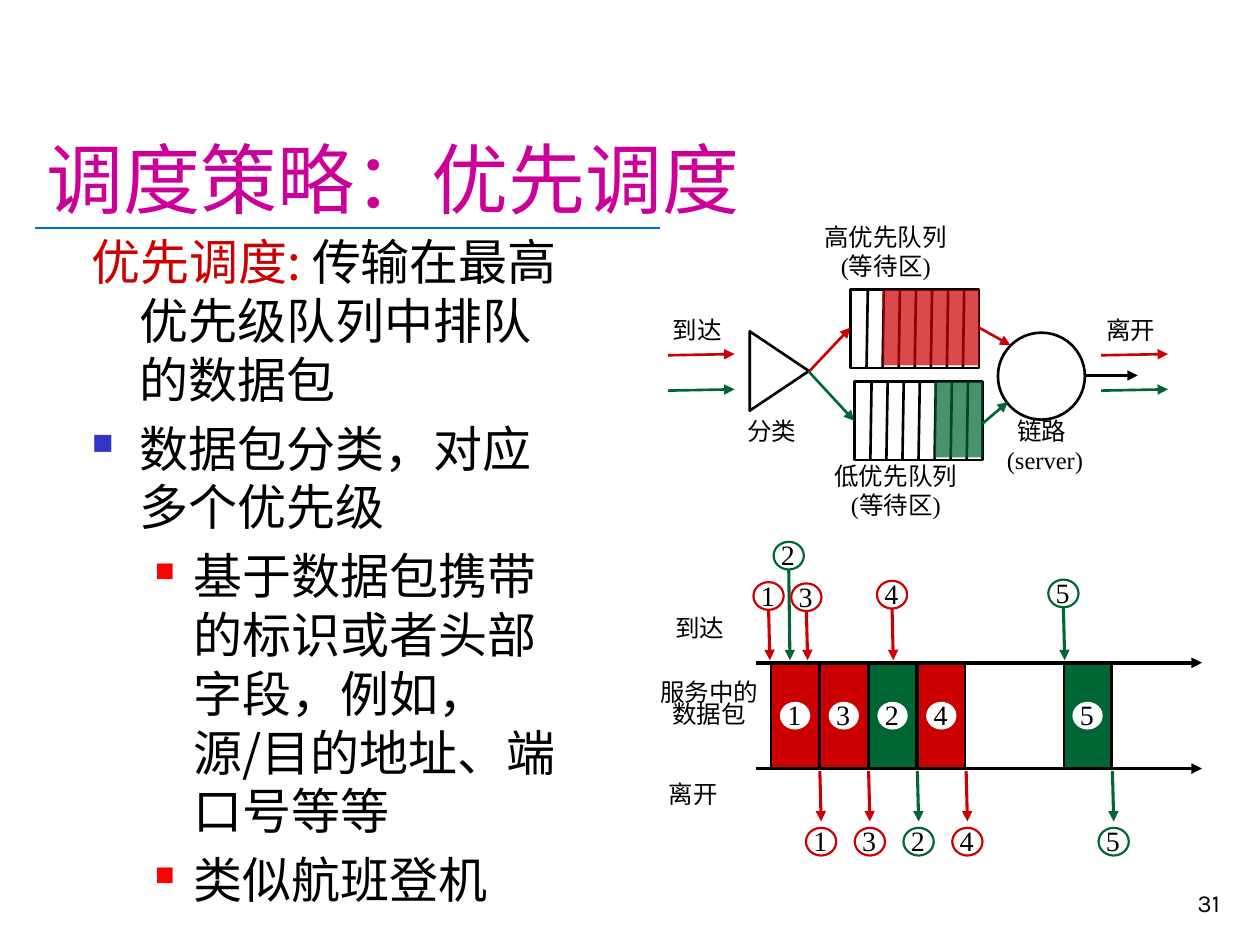
from pptx import Presentation
from pptx.util import Inches, Pt
from pptx.dml.color import RGBColor
from pptx.enum.shapes import MSO_SHAPE, MSO_CONNECTOR
from pptx.enum.text import PP_ALIGN, MSO_ANCHOR
from pptx.oxml.ns import qn
from lxml.etree import SubElement

BLACK = RGBColor(0, 0, 0)
WHITE = RGBColor(0xFF, 0xFF, 0xFF)
RED = RGBColor(0xCC, 0, 0)
GREEN = RGBColor(0, 0x66, 0x33)
PINK = RGBColor(0xCC, 0, 0x99)
RULE = RGBColor(0, 0x70, 0xC0)
SERIF, SANS, CJK = "Times New Roman", "Karla", "Noto Sans CJK SC"
LEFT, CENTER, RIGHT = PP_ALIGN.LEFT, PP_ALIGN.CENTER, PP_ALIGN.RIGHT

TITLE = "调度策略：优先调度"
BODY = [
    (0, None, [("优先调度: ", RED), ("传输在最高优先级队列中排队的数据包", BLACK)]),
    (0, "3333CC", [("数据包分类，对应多个优先级", BLACK)]),
    (1, "FF0000", [("基于数据包携带的标识或者头部字段，例如，源/目的地址、端口号等等", BLACK)]),
    (1, "FF0000", [("类似航班登机", BLACK)]),
]
LEVELS = [(0.38, -0.38, 60), (0.81, -0.31, 55)]

QUEUE_W, QUEUE_H, SLOTS = 1.02, 0.62, 8
QUEUES = [(6.78, 3.03, 5, GREEN), (6.75, 2.3, 2, RED)]
FLOWS = [
    (6.42, 2.95, 6.75, 2.6, RED), (6.42, 2.95, 6.78, 3.34, GREEN),
    (7.77, 2.6, 8.02, 2.74, RED), (7.8, 3.36, 8, 3.19, GREEN),
    (8.6, 2.98, 9.03, 2.98, BLACK),
]
LABELS = [
    (["高优先队列\n(等待区)"], 6.44, 1.71, 1.18, 0.57, CENTER),
    (["低优先队列\n(等待区)"], 6.52, 3.61, 1.18, 0.57, CENTER),
    (["到达"], 5.24, 2.45, 0.59, 0.34, CENTER),
    (["分类"], 5.83, 3.25, 0.59, 0.34, CENTER),
    (["离开"], 8.68, 2.45, 0.59, 0.34, CENTER),
    (["链路", " (server)"], 7.84, 3.25, 0.86, 0.57, CENTER),
    (["到达"], 5.26, 4.82, 0.59, 0.34, LEFT),
    (["离开"], 5.21, 6.13, 0.59, 0.34, LEFT),
]

PACKET_COLORS = {1: RED, 2: GREEN, 3: RED, 4: RED, 5: GREEN}
SERVICE = {1: 0, 3: 1, 2: 2, 4: 3, 5: 6}
ARRIVALS = {1: (5.98, 4.62), 2: (6.14, 4.3), 3: (6.28, 4.63), 4: (6.96, 4.61), 5: (8.32, 4.6)}
TIME_LEFT, TIME_STEP, BLOCK_W = 6.12, 0.387, 0.38
ARRIVE_Y, DEPART_Y = 5.26, 6.1
DOT_W, DOT_H = 0.24, 0.22

prs = Presentation()
prs.slide_width, prs.slide_height = Inches(10), Inches(7.5)
s = prs.slides.add_slide(prs.slide_layouts[6])


def style(r, size, color, font):
    r.font.size, r.font.name = Pt(size), font
    r.font.color.rgb = color
    SubElement(r._r.get_or_add_rPr(), qn("a:ea")).set("typeface", CJK)


def textbox(x, y, w, h, wrap=False, anchor=MSO_ANCHOR.TOP):
    tf = s.shapes.add_textbox(Inches(x), Inches(y), Inches(w), Inches(h)).text_frame
    tf.word_wrap, tf.vertical_anchor = wrap, anchor
    return tf


def text(lines, x, y, w, h, align=LEFT, size=14, color=BLACK, font=SERIF, **frame):
    tf = textbox(x, y, w, h, **frame)
    for i, line in enumerate(lines):
        p = tf.add_paragraph() if i else tf.paragraphs[0]
        p.text, p.alignment = line, align
        for r in p.runs:
            style(r, size, color, font)
    return tf


def line(x1, y1, x2, y2, color=BLACK, width=1.5, arrow=False):
    c = s.shapes.add_connector(MSO_CONNECTOR.STRAIGHT, *map(Inches, (x1, y1, x2, y2)))
    c.line.color.rgb, c.line.width = color, Pt(width)
    if arrow:
        SubElement(c.line._get_or_add_ln(), qn("a:tailEnd")).set("type", "triangle")
    SubElement(c._element.spPr, qn("a:effectLst"))


def shape(kind, x, y, w, h, fill=None, outline=None, width=1.5, alpha=None):
    sp = s.shapes.add_shape(kind, *map(Inches, (x, y, w, h)))
    sp.shadow.inherit = False
    if fill is None:
        sp.fill.background()
    else:
        sp.fill.solid()
        sp.fill.fore_color.rgb = fill
    if alpha:
        clr = sp._element.spPr.find(qn("a:solidFill"))[0]
        SubElement(clr, qn("a:alpha")).set("val", str(alpha * 1000))
    if outline is None:
        sp.line.fill.background()
    else:
        sp.line.color.rgb, sp.line.width = outline, Pt(width)
    return sp


def number(n, x, y, outline=None):
    shape(MSO_SHAPE.OVAL, x, y, DOT_W, DOT_H, WHITE, outline, 1.25)
    text([str(n)], x - 0.04, y - 0.08, 0.33, 0.37, size=16)


def queue(x, y, empty, color):
    step = QUEUE_W / SLOTS
    shape(MSO_SHAPE.RECTANGLE, x, y, QUEUE_W, QUEUE_H, outline=BLACK)
    for i in range(1, SLOTS):
        line(x + i * step + 0.01, y, x + i * step, y + QUEUE_H)
    shape(MSO_SHAPE.RECTANGLE, x + empty * step, y, (SLOTS - empty) * step, QUEUE_H - 0.02,
          color, alpha=71)


def body():
    tf = textbox(0.63, 1.79, 4.05, 5.58, wrap=True)
    for i, (level, bullet, runs) in enumerate(BODY):
        p = tf.add_paragraph() if i else tf.paragraphs[0]
        p.level, p.space_before = level, Pt(5.6)
        margin, indent, size = LEVELS[level]
        pPr = p._p.get_or_add_pPr()
        pPr.set("marL", str(Inches(margin)))
        pPr.set("indent", str(Inches(indent)))
        if bullet:
            SubElement(SubElement(pPr, qn("a:buClr")), qn("a:srgbClr")).set("val", bullet)
            SubElement(pPr, qn("a:buSzPct")).set("val", str(size * 1000))
            SubElement(pPr, qn("a:buChar")).set("char", "■")
        else:
            SubElement(pPr, qn("a:buNone"))
        for words, color in runs:
            r = p.add_run()
            r.text = words
            style(r, 28, color, CJK)


def scheduler():
    for q in QUEUES:
        queue(*q)
    shape(MSO_SHAPE.ISOSCELES_TRIANGLE, 5.87, 2.71, 0.63, 0.47, outline=BLACK).rotation = 90
    shape(MSO_SHAPE.OVAL, 7.92, 2.64, 0.69, 0.69, outline=BLACK)
    for flow in FLOWS:
        line(*flow, arrow=True)
    for x in (5.3, 8.74):
        for y, color in ((2.82, RED), (3.1, GREEN)):
            line(x, y, x + 0.53, y - 0.01, color, arrow=True)


def timeline():
    for y in (ARRIVE_Y, DEPART_Y):
        line(6, y, 9.54, y, width=2, arrow=True)
    for n, slot in SERVICE.items():
        color = PACKET_COLORS[n]
        x = TIME_LEFT + slot * TIME_STEP
        shape(MSO_SHAPE.RECTANGLE, x, ARRIVE_Y + 0.01, BLOCK_W, 0.83, color, BLACK, 1.25)
        number(n, x + 0.07, 5.57)
        end = x + TIME_STEP
        line(end, 6.12, end + 0.01, 6.52, color, 1.75, True)
        number(n, end - 0.11, 6.57, color)
    for n, (x, y) in ARRIVALS.items():
        color = PACKET_COLORS[n]
        line(x + 0.12, y + DOT_H, x + 0.13, ARRIVE_Y - 0.02, color, 1.75, True)
        number(n, x, y, color)


line(0.28, 1.81, 5.24, 1.81, RULE, 1.25)
text([TITLE], 0.27, 0.23, 9.51, 1.6, size=44, color=PINK, font=SANS,
     wrap=True, anchor=MSO_ANCHOR.BOTTOM)
text(["31"], 7.7, 6.83, 2.08, 0.5, RIGHT, font=SANS, wrap=True, anchor=MSO_ANCHOR.BOTTOM)
body()
scheduler()
timeline()
for label in LABELS:
    text(*label)
service = text(["服务中的数据包"], 5.08, 5.38, 1.1, 0.47, CENTER, wrap=True)
service.paragraphs[0].line_spacing = Pt(12.8)
prs.save("out.pptx")
